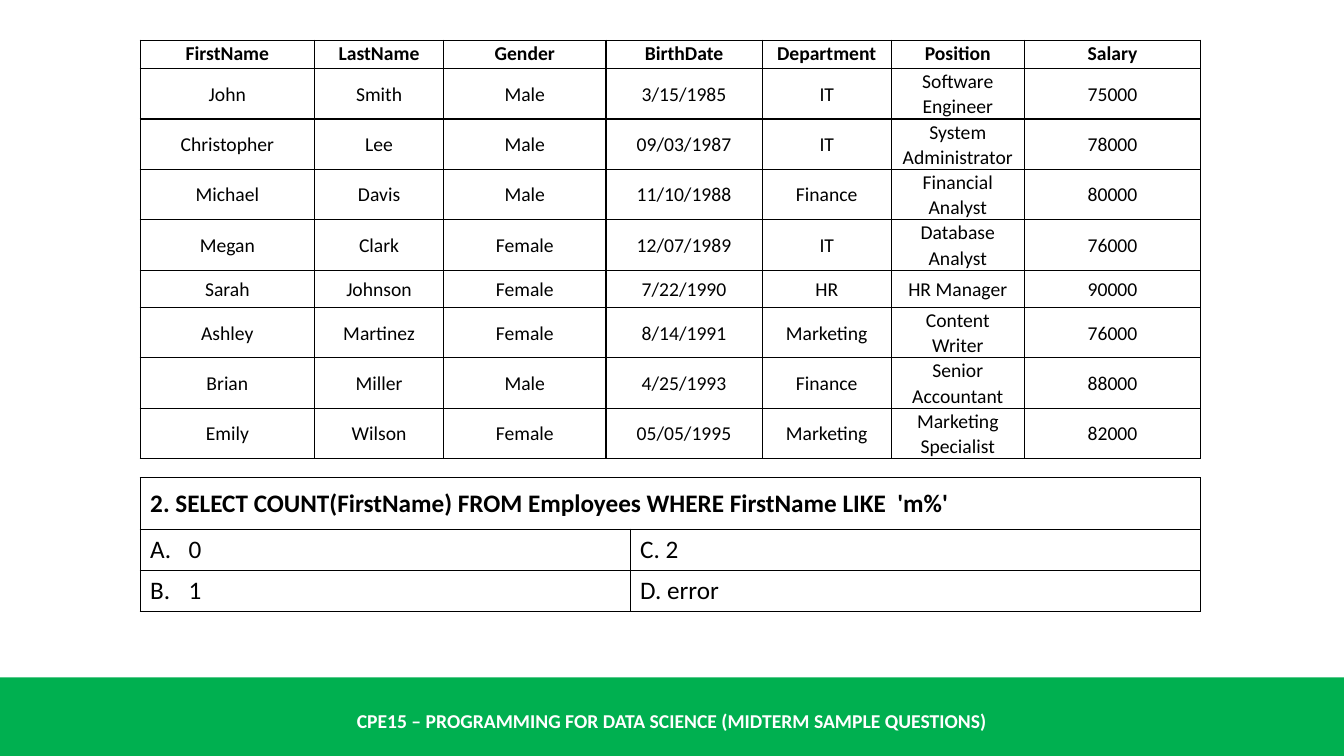
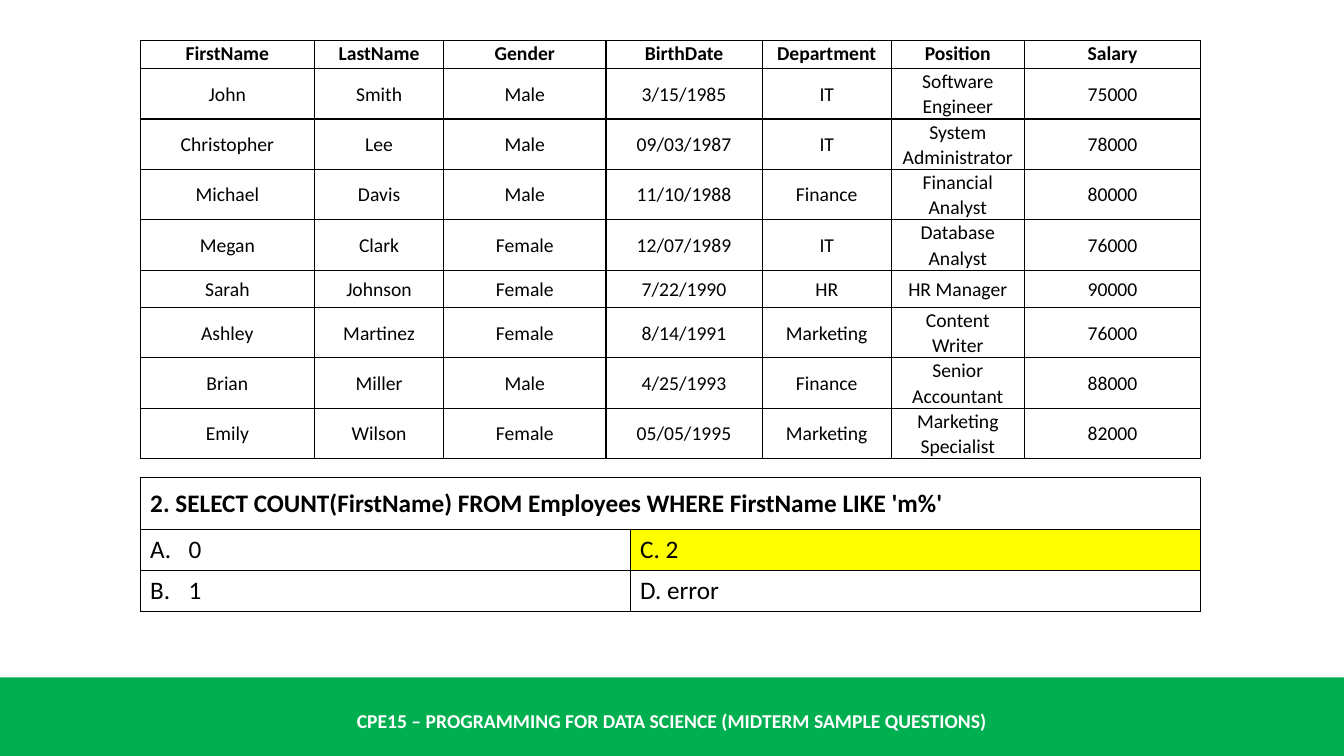
from lxml import etree
from pptx import Presentation
from pptx.dml.color import RGBColor
from pptx.enum.shapes import MSO_SHAPE
from pptx.enum.text import MSO_ANCHOR, PP_ALIGN
from pptx.oxml.ns import qn
from pptx.util import Inches, Pt

RECT = MSO_SHAPE.RECTANGLE
TOP, MIDDLE = MSO_ANCHOR.TOP, MSO_ANCHOR.MIDDLE
LEFT, CENTER = PP_ALIGN.LEFT, PP_ALIGN.CENTER
GREEN = RGBColor(0x00, 0xB0, 0x50)
YELLOW = RGBColor(0xFF, 0xFF, 0x00)
WHITE = RGBColor(0xFF, 0xFF, 0xFF)
BLACK = RGBColor(0x00, 0x00, 0x00)
FONT = "Calibri"
WIDTH, HEIGHT = 13.33, 7.5
FOOTER = "CPE15 – PROGRAMMING FOR DATA SCIENCE (MIDTERM SAMPLE QUESTIONS)"

STAFF = [
    ("FirstName", "LastName", "Gender", "BirthDate", "Department", "Position", "Salary"),
    ("John", "Smith", "Male", "3/15/1985", "IT", "Software Engineer", "75000"),
    ("Christopher", "Lee", "Male", "09/03/1987", "IT", "System Administrator", "78000"),
    ("Michael", "Davis", "Male", "11/10/1988", "Finance", "Financial Analyst", "80000"),
    ("Megan", "Clark", "Female", "12/07/1989", "IT", "Database Analyst", "76000"),
    ("Sarah", "Johnson", "Female", "7/22/1990", "HR", "HR Manager", "90000"),
    ("Ashley", "Martinez", "Female", "8/14/1991", "Marketing", "Content Writer", "76000"),
    ("Brian", "Miller", "Male", "4/25/1993", "Finance", "Senior Accountant", "88000"),
    ("Emily", "Wilson", "Female", "05/05/1995", "Marketing", "Marketing Specialist", "82000"),
]
STAFF_COLS = [1.73, 1.28, 1.61, 1.55, 1.28, 1.32, 1.75]
STAFF_ROWS = [0.28, 0.5, 0.5, 0.5, 0.5, 0.37, 0.5, 0.5, 0.5]
QUIZ_COLS = [4.86, 5.66]
QUIZ_ROWS = [0.51, 0.41, 0.41]
ANSWERS = [("0", "C. 2"), ("1", "D. error")]
RIGHT_CELL = (1, 1)
SLIDES = [
    ("2. SELECT COUNT(FirstName) FROM Employees WHERE FirstName LIKE  'm%'", False),
    ("2. SELECT COUNT(FirstName) FROM Employees WHERE FirstName LIKE 'm%'", True),
]


def style(para, size, color, bold, align):
    para.alignment = align
    for run in para.runs:
        font = run.font
        font.name, font.size, font.bold = FONT, Pt(size), bold
        font.color.rgb = color


def border(cell):
    props = cell._tc.get_or_add_tcPr()
    for side in ("a:lnL", "a:lnR", "a:lnT", "a:lnB"):
        line = etree.SubElement(props, qn(side), w=str(Pt(1)))
        fill = etree.SubElement(line, qn("a:solidFill"))
        etree.SubElement(fill, qn("a:srgbClr"), val=str(BLACK))


def letter(para, start):
    props = para._p.get_or_add_pPr()
    props.set("marL", str(Inches(0.38)))
    props.set("indent", str(Inches(-0.38)))
    etree.SubElement(props, qn("a:buFont"), typeface=FONT)
    etree.SubElement(props, qn("a:buAutoNum"), type="alphaUcPeriod", startAt=str(start))


def grid(slide, left, top, cols, rows):
    frame = slide.shapes.add_table(
        len(rows), len(cols), Inches(left), Inches(top),
        Inches(sum(cols)), Inches(sum(rows)))
    table = frame.table
    table.first_row = table.horz_banding = False
    for col, width in zip(table.columns, cols):
        col.width = Inches(width)
    for row, height in zip(table.rows, rows):
        row.height = Inches(height)
    for cell in table.iter_cells():
        border(cell)
        cell.fill.background()
        cell.vertical_anchor = MIDDLE
    return table


def add_staff(slide, left, top):
    table = grid(slide, left, top, STAFF_COLS, STAFF_ROWS)
    for i, row in enumerate(STAFF):
        for j, text in enumerate(row):
            cell = table.cell(i, j)
            cell.margin_left = cell.margin_right = Inches(0.07)
            cell.margin_top = cell.margin_bottom = 0
            cell.vertical_anchor = MIDDLE if i else TOP
            para = cell.text_frame.paragraphs[0]
            para.text = text
            para.line_spacing = 1.06
            style(para, 14, BLACK, i == 0, CENTER)


def add_quiz(slide, left, top, query, solved):
    table = grid(slide, left, top, QUIZ_COLS, QUIZ_ROWS)
    head = table.cell(0, 0)
    head.merge(table.cell(0, 1))
    para = head.text_frame.paragraphs[0]
    para.text = query
    style(para, 18, BLACK, True, LEFT)
    for i, row in enumerate(ANSWERS, 1):
        for j, text in enumerate(row):
            para = table.cell(i, j).text_frame.paragraphs[0]
            para.text = text
            if j == 0:
                letter(para, i)
            style(para, 18, BLACK, False, LEFT)
    if solved:
        fill = table.cell(*RIGHT_CELL).fill
        fill.solid()
        fill.fore_color.rgb = YELLOW


def add_footer(slide, top):
    band = slide.shapes.add_shape(
        RECT, 0, Inches(top), Inches(WIDTH), Inches(HEIGHT - top))
    band.shadow.inherit = False
    band.fill.solid()
    band.fill.fore_color.rgb = GREEN
    band.line.fill.background()
    label = slide.shapes.add_textbox(
        0, Inches(top + 0.23), Inches(WIDTH), Inches(0.4))
    frame = label.text_frame
    frame.word_wrap = True
    frame.vertical_anchor = MIDDLE
    frame.text = FOOTER
    style(frame.paragraphs[0], 14, WHITE, True, CENTER)


def main():
    deck = Presentation()
    deck.slide_width, deck.slide_height = Inches(WIDTH), Inches(HEIGHT)
    blank = deck.slide_layouts[6]
    for query, solved in SLIDES:
        slide = deck.slides.add_slide(blank)
        add_footer(slide, 6.72)
        add_staff(slide, 1.39, 0.4)
        add_quiz(slide, 1.39, 4.74, query, solved)
    deck.save("out.pptx")


if __name__ == "__main__":
    main()
